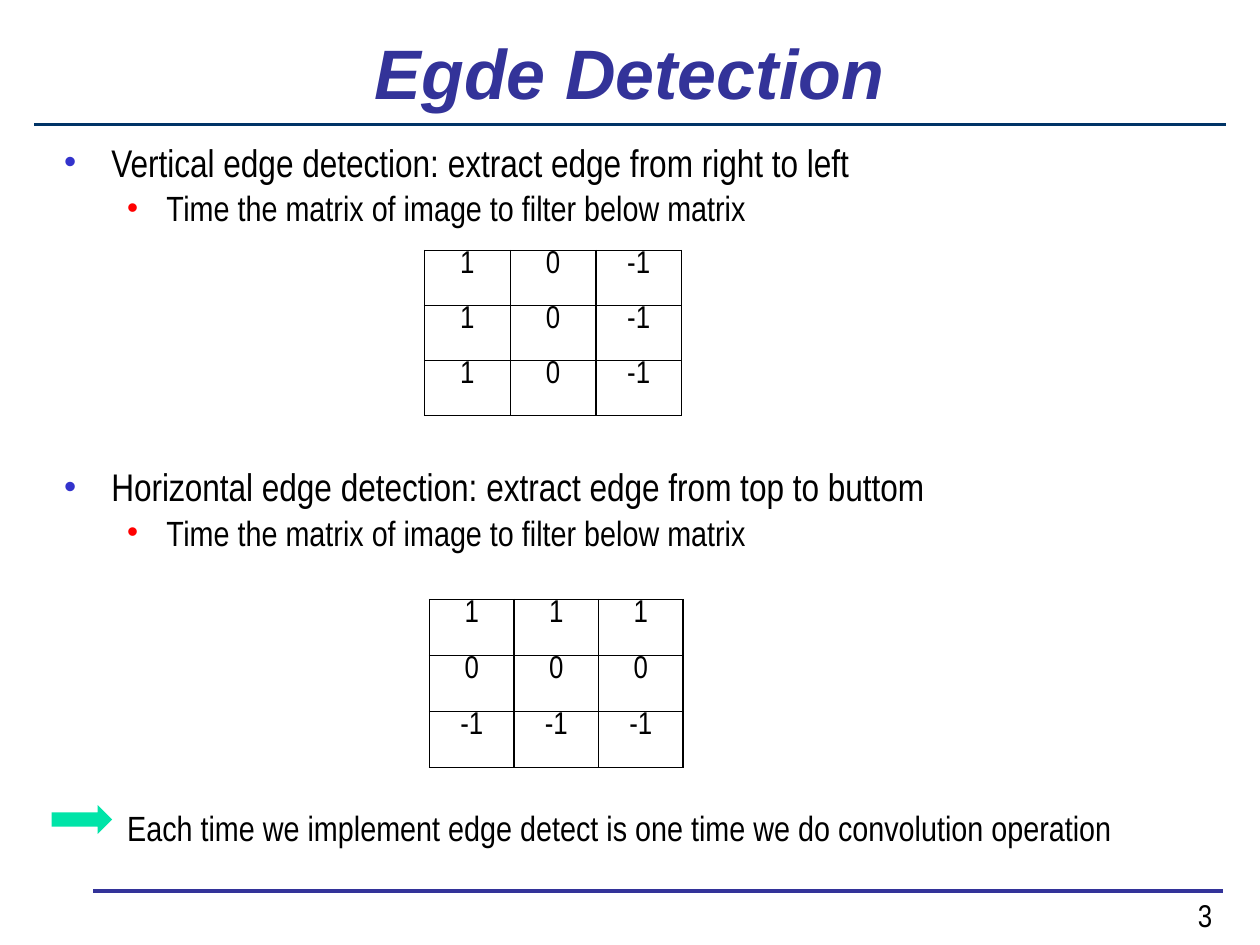
from lxml import etree
from pptx import Presentation
from pptx.dml.color import RGBColor
from pptx.enum.shapes import MSO_CONNECTOR, MSO_SHAPE
from pptx.enum.text import MSO_ANCHOR, MSO_AUTO_SIZE, PP_ALIGN
from pptx.oxml.ns import qn
from pptx.util import Cm, Pt

LINE, ARROW = MSO_CONNECTOR.STRAIGHT, MSO_SHAPE.RIGHT_ARROW
BOTTOM, TOP = MSO_ANCHOR.BOTTOM, MSO_ANCHOR.TOP
CENTER, RIGHT = PP_ALIGN.CENTER, PP_ALIGN.RIGHT
FIXED = MSO_AUTO_SIZE.NONE

THEME = {
    "head": "Arial", "text": "Arial Narrow",
    "navy": "003366", "blue": "333399", "black": "000000", "mint": "00E4A8",
    "title": 40, "main": 22, "sub": 20, "cell": 18, "rule": 2.25, "edge": 1,
}

TITLE = "Egde Detection"
KINDS = {
    "main": (0.95, -0.95, "3333CC"),
    "sub": (2.06, -0.79, "FF0000"),
    "note": (1.27, 0, None),
}
BODY = [
    ("main", 0, "Vertical edge detection: extract edge from right to left"),
    ("sub", 1, "Time the matrix of image to filter below matrix"),
    ("main", 134, "Horizontal edge detection: extract edge from top to buttom"),
    ("sub", 1, "Time the matrix of image to filter below matrix"),
    ("note", 145, "Each time we implement edge detect is one time we do convolution operation"),
]
FILTER = (1, 0, -1)
GRIDS = [
    ((8.56, 5.05, 5.18, 3.33), [FILTER] * 3),
    ((8.66, 12.09, 5.11, 3.38), [(n,) * 3 for n in FILTER]),
]
RULES = [(0.69, 24.71, 2.51, "navy"), (1.88, 24.66, 17.96, "blue")]


def color(name):
    return RGBColor.from_string(THEME[name])


def place(shape, *box):
    shape.left, shape.top, shape.width, shape.height = map(Cm, box)


def style(para, size, face="text", tint="black"):
    for run in para.runs:
        run.font.name = THEME[face]
        run.font.size = Pt(THEME[size])
        run.font.color.rgb = color(tint)


def add(root, tag, **attrs):
    return etree.SubElement(root, qn(tag), attrs)


def bullet(para, left, first, tint):
    props = para._p.get_or_add_pPr()
    props.set("marL", str(Cm(left)))
    props.set("indent", str(Cm(first)))
    if tint is None:
        add(props, "a:buNone")
        return
    add(add(props, "a:buClr"), "a:srgbClr", val=tint)
    add(props, "a:buSzPct", val="90000")
    add(props, "a:buFont", typeface="Arial")
    add(props, "a:buChar", char="•")


def border(cell):
    props = cell._tc.get_or_add_tcPr()
    for pos, side in enumerate(("a:lnL", "a:lnR", "a:lnT", "a:lnB")):
        line = etree.Element(qn(side), w=str(Pt(THEME["edge"])))
        add(add(line, "a:solidFill"), "a:srgbClr", val=THEME["black"])
        props.insert(pos, line)


def draw_rule(slide, left, right, y, tint):
    rule = slide.shapes.add_connector(LINE, Cm(left), Cm(y), Cm(right), Cm(y))
    rule.line.color.rgb = color(tint)
    rule.line.width = Pt(THEME["rule"])
    add(rule._element.spPr, "a:effectLst")


def draw_title(slide):
    title = slide.shapes.title
    place(title, 0.69, 0.53, 24, 1.88)
    frame = title.text_frame
    frame.text = TITLE
    frame.auto_size = FIXED
    frame.vertical_anchor = BOTTOM
    para = frame.paragraphs[0]
    para.alignment = CENTER
    style(para, "title", "head", "blue")
    font = para.runs[0].font
    font.bold = font.italic = True


def draw_body(slide):
    body = slide.placeholders[1]
    place(body, 1.04, 2.67, 23.67, 15.06)
    frame = body.text_frame
    frame.text = "\n".join(text for _, _, text in BODY)
    frame.auto_size = FIXED
    for para, (kind, gap, _) in zip(frame.paragraphs, BODY):
        para.level = 0 if kind == "main" else 1
        para.space_before = Pt(gap)
        para.line_spacing = 1.0
        bullet(para, *KINDS[kind])
        style(para, "main" if kind == "main" else "sub")


def draw_grid(slide, box, rows):
    table = slide.shapes.add_table(len(rows), len(rows[0]), *map(Cm, box)).table
    table.first_row = table.horz_banding = False
    for r, row in enumerate(rows):
        for c, num in enumerate(row):
            cell = table.cell(r, c)
            cell.text = str(num)
            cell.margin_top = cell.margin_bottom = 0
            cell.vertical_anchor = TOP
            cell.fill.background()
            border(cell)
            para = cell.text_frame.paragraphs[0]
            para.alignment = CENTER
            style(para, "cell")


def draw_page(slide):
    box = slide.shapes.add_textbox(Cm(19.41), Cm(18.14), Cm(5.28), Cm(0.81))
    frame = box.text_frame
    frame.word_wrap = True
    frame.vertical_anchor = BOTTOM
    frame.text = "3"
    para = frame.paragraphs[0]
    para.alignment = RIGHT
    style(para, "cell")


def draw_arrow(slide):
    arrow = slide.shapes.add_shape(ARROW, Cm(1.04), Cm(16.23), Cm(1.22), Cm(0.58))
    arrow.shadow.inherit = False
    arrow.fill.solid()
    arrow.fill.fore_color.rgb = color("mint")
    arrow.line.fill.background()


def main():
    deck = Presentation()
    deck.slide_width, deck.slide_height = Cm(25.4), Cm(19.05)
    slide = deck.slides.add_slide(deck.slide_layouts[1])
    for rule in RULES:
        draw_rule(slide, *rule)
    draw_title(slide)
    draw_body(slide)
    draw_page(slide)
    for box, rows in GRIDS:
        draw_grid(slide, box, rows)
    draw_arrow(slide)
    deck.save("out.pptx")


if __name__ == "__main__":
    main()
